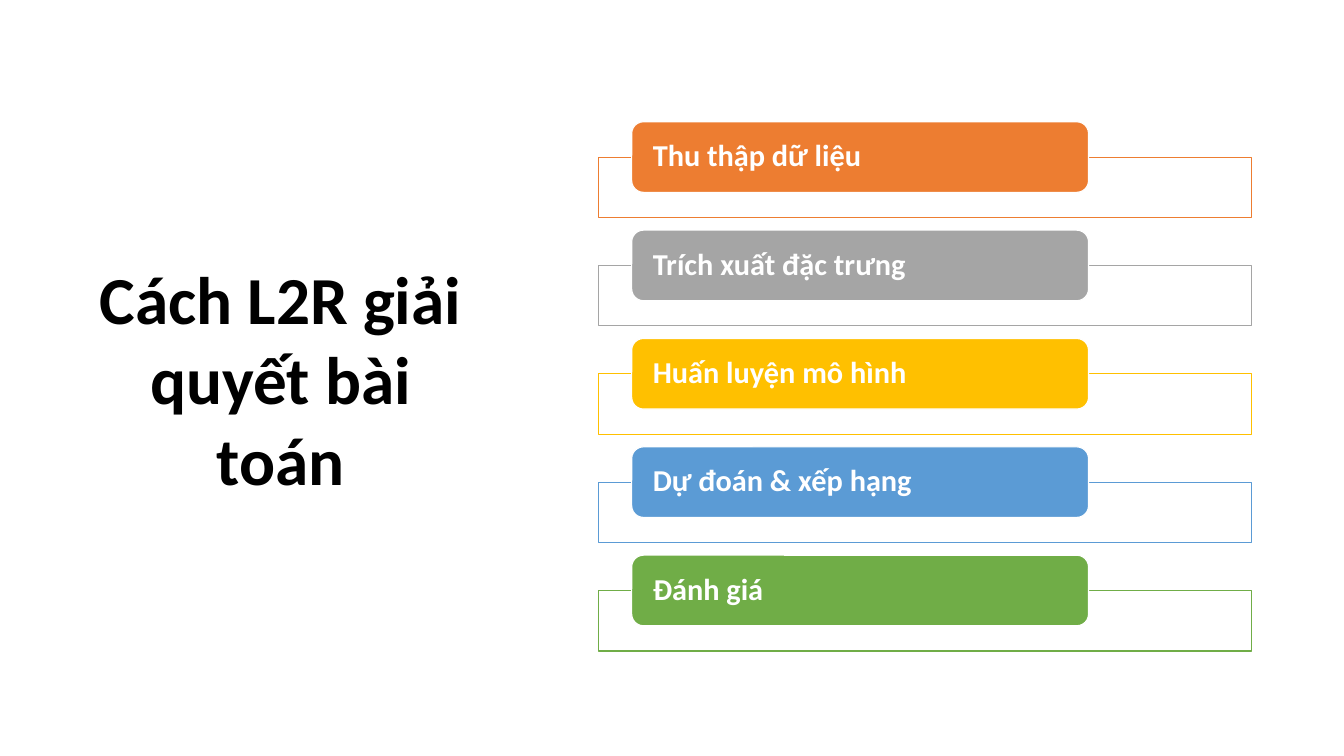
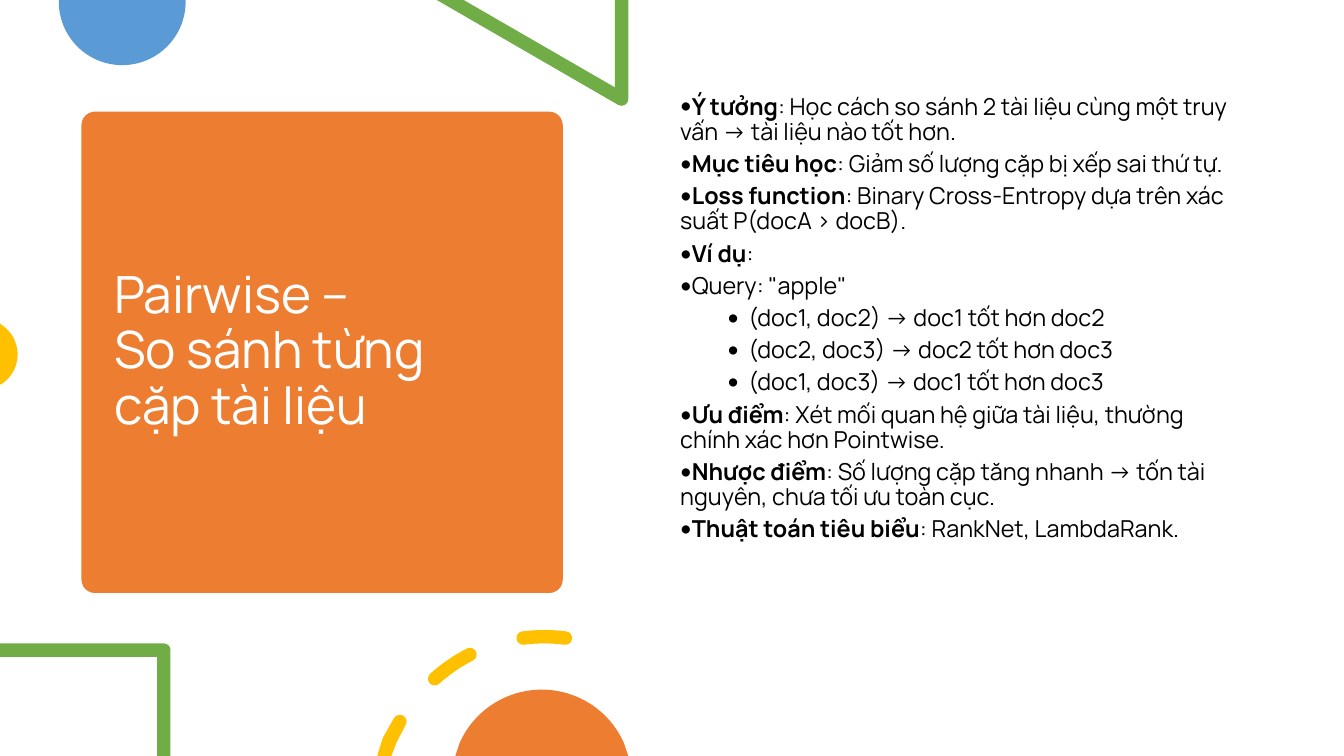
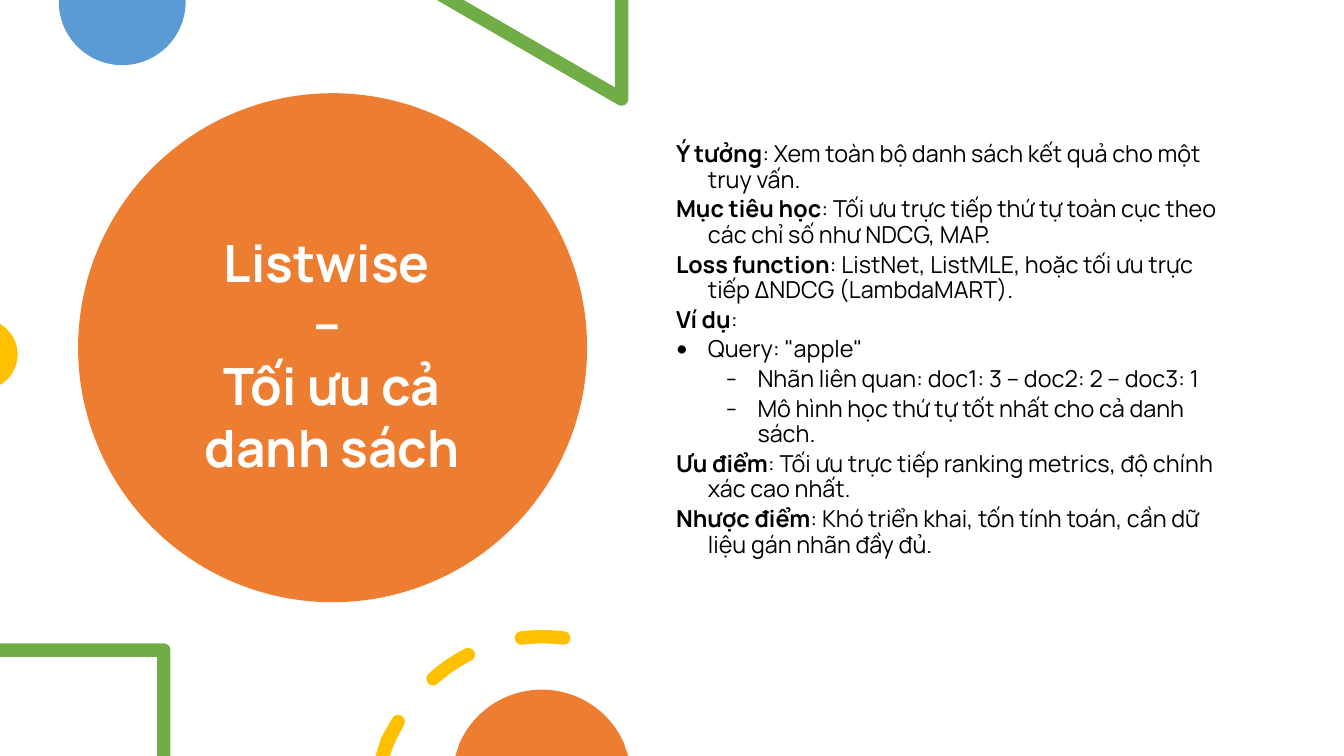
from dataclasses import dataclass
from math import ceil, cos, radians, sin, tan

from lxml import etree
from pptx import Presentation
from pptx import util as u
from pptx.dml.color import RGBColor
from pptx.enum import shapes, text
from pptx.oxml.ns import qn


@dataclass(frozen=True)
class Theme:
    white: str = "FFFFFF"
    black: str = "000000"
    orange: str = "ED7D31"
    gray: str = "A5A5A5"
    gold: str = "FFC000"
    blue: str = "5B9BD5"
    green: str = "70AD47"
    plain: str = "Calibri"
    round: str = "Manrope"
    lead: float = 57.6
    head: float = 44
    card: float = 26
    body: float = 20


T = Theme()
KIND = shapes.MSO_SHAPE
MID = text.MSO_ANCHOR.MIDDLE
TOP = text.MSO_ANCHOR.TOP
LEFT = text.PP_ALIGN.LEFT
MIDDLE = text.PP_ALIGN.CENTER
WIDE, HIGH = 16, 9

STEPS = [
    ("Thu thập dữ liệu", T.orange),
    ("Trích xuất đặc trưng", T.gray),
    ("Huấn luyện mô hình", T.gold),
    ("Dự đoán & xếp hạng", T.blue),
    ("Đánh giá", T.green),
]

PAIR = [
    ("Ý tưởng", ": Học cách so sánh 2 tài liệu cùng một truy vấn → tài liệu nào tốt hơn.", "top"),
    ("Mục tiêu học", ": Giảm số lượng cặp bị xếp sai thứ tự.", "top"),
    ("Loss function", ": Binary Cross-Entropy dựa trên xác suất P(docA > docB).", "top"),
    ("Ví dụ", ":", "top"),
    ("", 'Query: "apple"', "top"),
    ("", "(doc1, doc2) → doc1 tốt hơn doc2", "sub"),
    ("", "(doc2, doc3) → doc2 tốt hơn doc3", "sub"),
    ("", "(doc1, doc3) → doc1 tốt hơn doc3", "sub"),
    ("Ưu điểm", ": Xét mối quan hệ giữa tài liệu, thường chính xác hơn Pointwise.", "top"),
    ("Nhược điểm", ": Số lượng cặp tăng nhanh → tốn tài nguyên, chưa tối ưu toàn cục.", "top"),
    ("Thuật toán tiêu biểu", ": RankNet, LambdaRank.", "top"),
]
PAIR_LOOK = {"top": (0, 0, -0.25, "•"), "sub": (1, 0.81, -0.25, "•")}

LIST = [
    ("Ý tưởng", ": Xem toàn bộ danh sách kết quả cho một truy vấn.", "top"),
    ("Mục tiêu học", ": Tối ưu trực tiếp thứ tự toàn cục theo các chỉ số như NDCG, MAP.", "top"),
    ("Loss function", ": ListNet, ListMLE, hoặc tối ưu trực tiếp ΔNDCG (LambdaMART).", "top"),
    ("Ví dụ", ":", "top"),
    ("", 'Query: "apple"', "dot"),
    ("", "Nhãn liên quan: doc1: 3 – doc2: 2 – doc3: 1", "dash"),
    ("", "Mô hình học thứ tự tốt nhất cho cả danh sách.", "dash"),
    ("Ưu điểm", ": Tối ưu trực tiếp ranking metrics, độ chính xác cao nhất.", "top"),
    ("Nhược điểm", ": Khó triển khai, tốn tính toán, cần dữ liệu gán nhãn đầy đủ.", "top"),
]
LIST_LOOK = {
    "top": (0, 0.38, -0.38, ""),
    "dot": (0, 0.38, -0.38, "•"),
    "dash": (1, 0.97, -0.38, "–"),
}


def apply(item, **form):
    for name, value in form.items():
        setattr(item, name, value)


def inch(box):
    return [u.Inches(v) for v in box]


def paint(shape, fill, line=None):
    shape.shadow.inherit = False
    shape.fill.solid()
    shape.fill.fore_color.rgb = RGBColor.from_string(fill)
    if line:
        shape.line.color.rgb = RGBColor.from_string(line)
        shape.line.width = u.Pt(1)
    else:
        shape.line.fill.background()
    return shape


def block(slide, kind, box, fill, line=None):
    return paint(slide.shapes.add_shape(kind, *inch(box)), fill, line)


def fade(shape, share):
    color = next(shape.fill._xPr.iter(qn("a:srgbClr")))
    etree.SubElement(color, qn("a:alpha")).set("val", str(share * 1000))


def write(para, words, size, face, color, bold=False):
    for row, part in enumerate(words.split("\n")):
        if row:
            para.add_line_break()
        run = para.add_run()
        run.text = part
        apply(run.font, size=u.Pt(size), name=face, bold=bold)
        run.font.color.rgb = RGBColor.from_string(color)


def frame(shape, anchor, **inset):
    apply(shape.text_frame, word_wrap=True, vertical_anchor=anchor,
          **{"margin_" + side: u.Inches(v) for side, v in inset.items()})
    return shape.text_frame


def title(slide, box, words, look, align=LEFT, space=1.0, anchor=MID, **inset):
    area = frame(slide.shapes.add_textbox(*inch(box)), anchor, **inset)
    para = area.paragraphs[0]
    apply(para, alignment=align, line_spacing=space)
    write(para, words, *look)


def points(slide, box, rows, looks, **gap):
    area = frame(slide.shapes.add_textbox(*inch(box)), TOP)
    for row, (lead, rest, kind) in enumerate(rows):
        para = area.add_paragraph() if row else area.paragraphs[0]
        level, left, hang, mark = looks[kind]
        apply(para, level=level, line_spacing=0.9)
        if row or "space_before" not in gap:
            apply(para, **gap)
        props = para._p.get_or_add_pPr()
        for name, value in (("marL", left), ("indent", hang)):
            props.set(name, str(u.Inches(value)))
        if mark:
            etree.SubElement(props, qn("a:buFont")).set("typeface", T.plain)
            etree.SubElement(props, qn("a:buChar")).set("char", mark)
        if lead:
            write(para, lead, T.body, T.round, T.black, True)
        write(para, rest, T.body, T.round, T.black)


def lines(*spots):
    return [(spot,) for spot in spots]


def polar(mid, size, turn):
    return mid[0] + size * cos(turn), mid[1] + size * sin(turn)


def arc(mid, size, start, end):
    count = ceil(abs(end - start) / 90)
    step = radians(end - start) / count
    pull = size * 4 / 3 * tan(step / 4)
    curves = lines(polar(mid, size, radians(start)))
    for i in range(count):
        a = radians(start) + i * step
        b = a + step
        (ax, ay), (bx, by) = polar(mid, size, a), polar(mid, size, b)
        curves.append(((ax - pull * sin(a), ay + pull * cos(a)),
                       (bx + pull * sin(b), by - pull * cos(b)), (bx, by)))
    return curves


def outline(slide, box, loops, fill):
    place = [[[(u.Inches(box[0] + x), u.Inches(box[1] + y)) for x, y in part]
              for part in loop] for loop in loops]
    form = slide.shapes.build_freeform(*place[0][0][0])
    for row, loop in enumerate(place):
        if row:
            form.move_to(*loop[0][0])
        form.add_line_segments([spot for part in loop[1:] for spot in part], close=True)
    shape = paint(form.convert_to_shape(), fill)
    nodes = iter(list(shape._element.iter(qn("a:lnTo"))))
    for part in (part for loop in place for part in loop[1:]):
        node = next(nodes)
        if len(part) == 3:
            node.tag = qn("a:cubicBezTo")
            for _ in range(2):
                extra = next(nodes)
                node.append(extra[0])
                extra.getparent().remove(extra)


def dash(mid, size, half, start, end):
    tip, tail = [polar(mid, size, radians(a)) for a in (end, start)]
    return (arc(mid, size + half, start, end) + arc(tip, half, end, end + 180)[1:]
            + arc(mid, size - half, end, start) + arc(tail, half, start + 180, start + 360)[1:])


def decor(slide, box, shift=0.0):
    ring = (6.48 + shift, 9.53)
    stub = (lines((4.49 + shift, 9), (4.56 + shift, 8.78))
            + arc((4.76 + shift, 8.59), 0.08, 208, 388)
            + lines((4.72 + shift, 8.84), (4.66 + shift, 9)))
    dashes = [stub] + [dash(ring, 1.95, 0.08, *span) for span in ((228, 243), (262.6, 277.4))]
    wedge = lines((7.48, 0), (7.32, 0), (7.32, 1.04), (5.52, 0), (5.2, 0))
    elbow = lines((2.03, 9), (1.87, 9), (1.87, 7.82), (0, 7.82), (0, 7.66))
    parts = [
        ([lines((0.7, 0), (2.21, 0)) + arc((1.455, 0.02), 0.755, 0, 180)], T.blue),
        ([wedge + arc((7.4, 1.18), 0.08, 120, 0)], T.green),
        ([lines((0, 3.85), (0, 4.58)) + arc((-0.21, 4.22), 0.42, 57, -57)], T.gold),
        ([elbow + arc((1.95, 7.74), 0.08, 270, 360)], T.green),
        (dashes, T.gold),
        ([lines((7.48, 9), (5.42, 9)) + arc((6.45, 9.28), 1.07, 204, 336)], T.orange),
    ]
    for loops, fill in parts:
        outline(slide, box, loops, fill)


def steps(slide, box):
    left, top, wide, _ = box
    pitch = 1.29
    for row, (words, color) in enumerate(STEPS):
        base = top + row * pitch
        tray = block(slide, KIND.RECTANGLE, (left, base + 0.42, wide, 0.72), T.white, color)
        fade(tray, 90)
        card = block(slide, KIND.ROUNDED_RECTANGLE,
                     (left + 0.39, base, wide * 0.7, 0.84), color, T.white)
        para = frame(card, MID, left=0.21, right=0.21, top=0, bottom=0).paragraphs[0]
        apply(para, alignment=LEFT, line_spacing=0.9)
        write(para, words, T.card, T.plain, T.white, True)


def process(slide, box):
    left, top, _, _ = box
    title(slide, (left + 0.85, top + 1.44, 4.98, 6.12), "Cách L2R giải quyết bài toán",
          (T.lead, T.plain, T.black, True), MIDDLE)
    steps(slide, (left + 7.13, top + 1.45, 7.77, 6.3))


def pairwise(slide, box):
    left, top, _, _ = box
    panel = block(slide, KIND.ROUNDED_RECTANGLE, (left + 0.97, top + 1.33, 5.73, 5.73), T.orange)
    panel.adjustments[0] = 0.028
    title(slide, (left + 1.26, top + 1.46, 5.17, 5.47),
          "Pairwise – \nSo sánh từng \ncặp tài liệu", (T.head, T.round, T.white), space=0.9)
    decor(slide, box)
    points(slide, (left + 8, top + 1.08, 6.9, 6.42), PAIR, PAIR_LOOK, space_after=u.Pt(6))


def listwise(slide, box):
    left, top, _, _ = box
    block(slide, KIND.OVAL, (left + 0.93, top + 1.11, 6.06, 6.06), T.orange)
    title(slide, (left + 1.83, top + 1.97, 4.25, 5.33),
          "Listwise \n– \nTối ưu cả danh sách", (T.head, T.round, T.white, True),
          MIDDLE, anchor=TOP, top=0.78)
    decor(slide, box, -0.02)
    points(slide, (left + 7.95, top + 1.65, 6.9, 6.42), LIST, LIST_LOOK, space_before=u.Pt(4))


def main():
    deck = Presentation()
    apply(deck, slide_width=u.Inches(WIDE), slide_height=u.Inches(HIGH))
    for build in (process, pairwise, listwise):
        build(deck.slides.add_slide(deck.slide_layouts[6]), (0, 0, WIDE, HIGH))
    deck.save("out.pptx")


if __name__ == "__main__":
    main()
